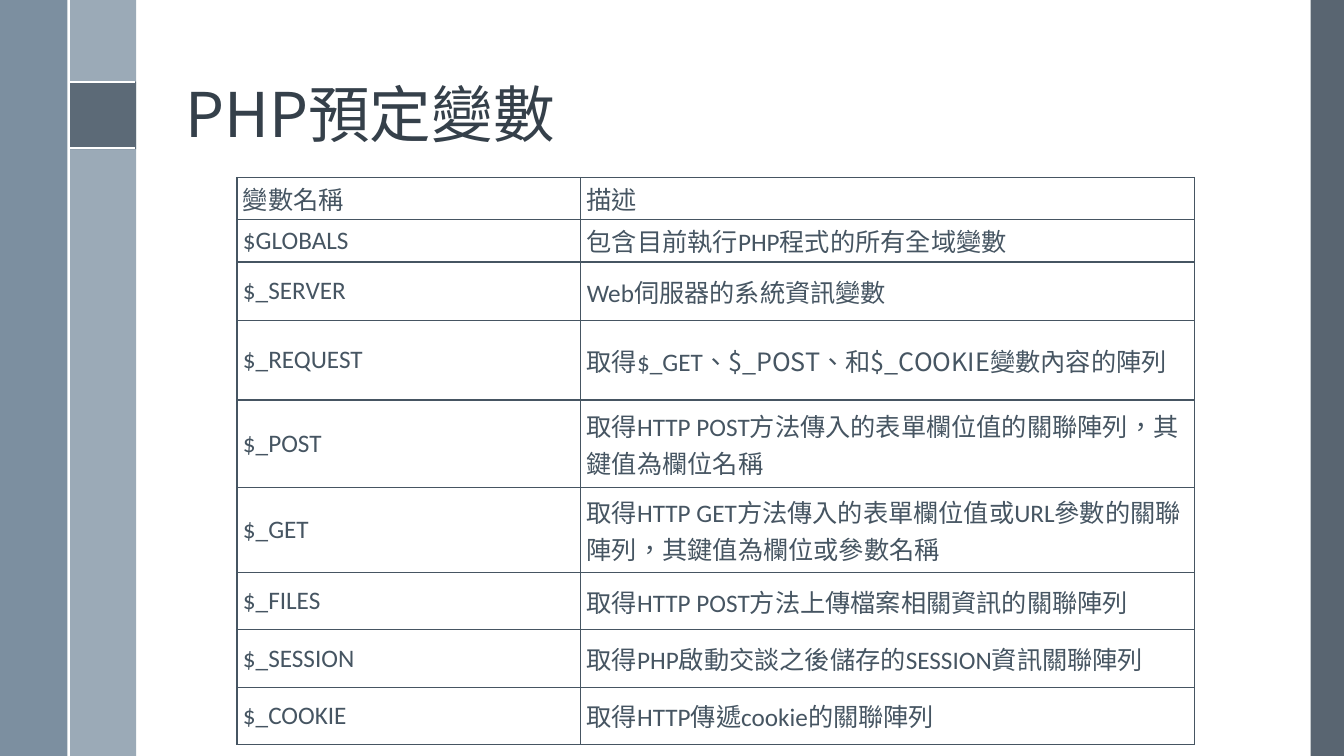
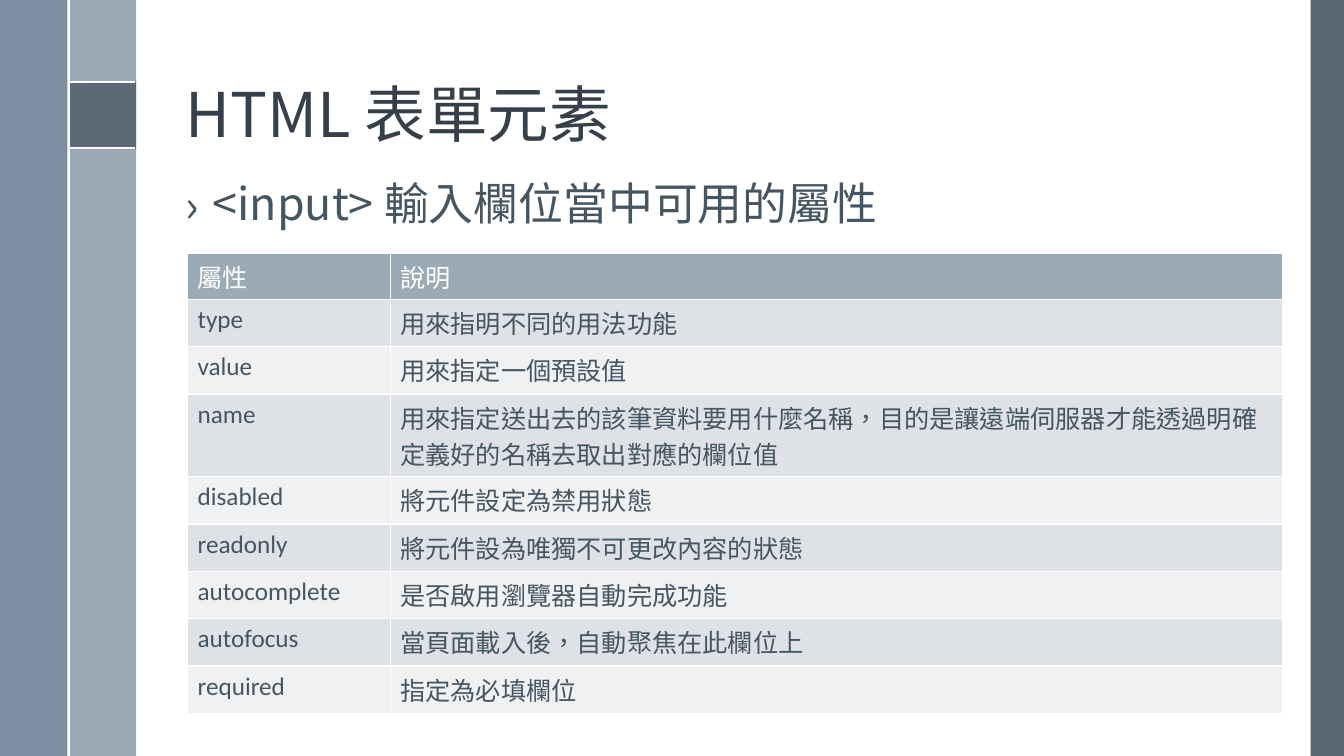
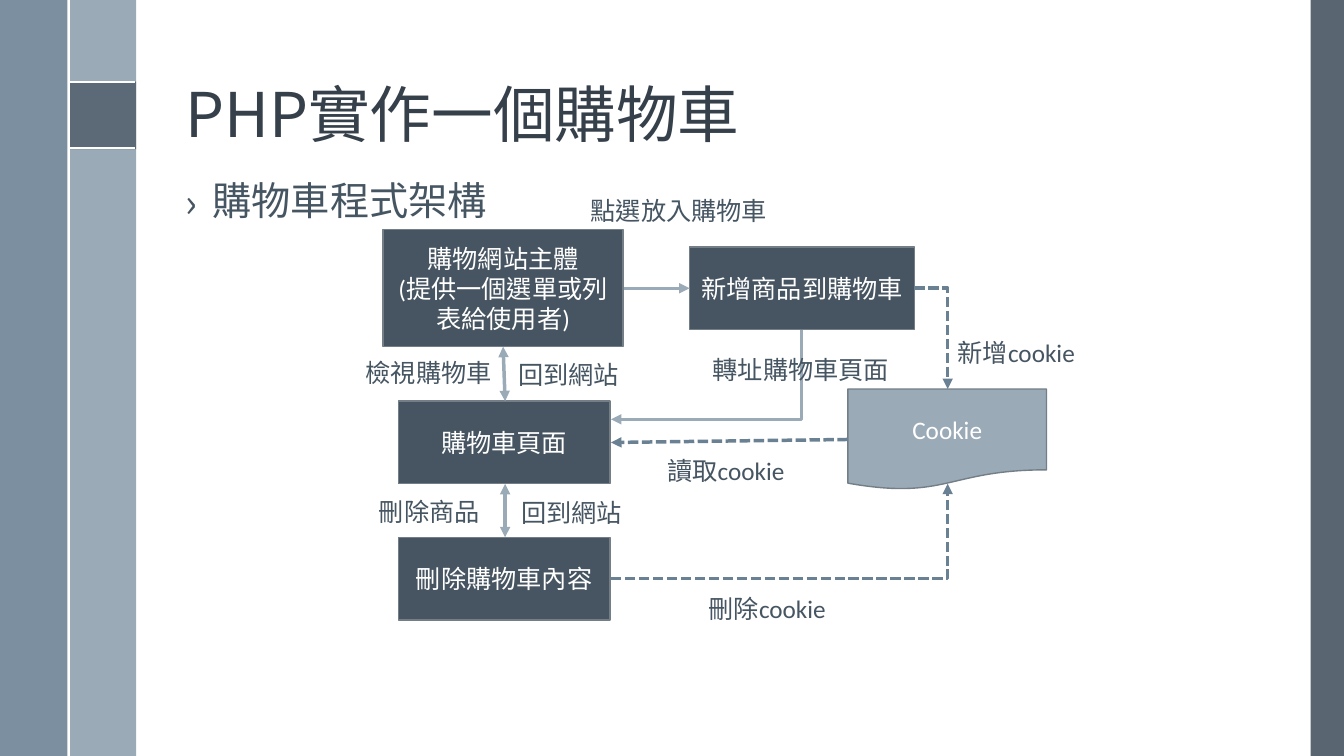
import pptx
import pptx.util
from pptx.dml.color import RGBColor
from pptx.enum.dml import MSO_LINE
from pptx.enum.shapes import MSO_CONNECTOR, MSO_SHAPE
from pptx.enum.text import MSO_ANCHOR, MSO_AUTO_SIZE, PP_ALIGN
from pptx.oxml.ns import qn
from lxml import etree

Inches, Pt = pptx.util.Inches, pptx.util.Pt

WHITE = RGBColor(0xFF, 0xFF, 0xFF)
SLATE = RGBColor(0x47, 0x55, 0x62)
MIST = RGBColor(0x9B, 0xAA, 0xB7)
STEEL = RGBColor(0x6A, 0x80, 0x93)
OUTLINE = RGBColor(0x73, 0x7E, 0x87)
TITLE = RGBColor(0x35, 0x40, 0x4A)
TEXT = RGBColor(0x46, 0x55, 0x62)
BAND_DARK = RGBColor(0xDE, 0xE2, 0xE6)
BAND_LIGHT = RGBColor(0xEF, 0xF1, 0xF3)
LATIN, CJK = "Calibri", "Noto Sans CJK TC"


def add_run(p, text, size=18, color=TEXT, name=LATIN):
    r = p.add_run()
    r.text = text
    for key, value in {"size": Pt(size), "name": name}.items():
        setattr(r.font, key, value)
    r.font.color.rgb = color
    r.font._element.set("lang", "zh-TW")
    latin = r.font._element.find(qn("a:latin"))
    latin.addnext(latin.makeelement(qn("a:ea"), {"typeface": CJK}))


def add_line(s, x1, y1, x2, y2, color, width, kind=MSO_CONNECTOR.STRAIGHT):
    c = s.shapes.add_connector(kind, Inches(x1), Inches(y1), Inches(x2), Inches(y2))
    c.line.color.rgb = color
    c.line.width = Pt(width)
    etree.SubElement(c._element.spPr, qn("a:effectLst"))
    return c


prs = pptx.Presentation()
prs.slide_width, prs.slide_height = Inches(13.33), Inches(7.5)

# Shared frame: side bands, rules, title and optional bullet line
bands = [
    (13, 0, 0.33, 7.5, SLATE, 90),
    (0.68, 0, 0.67, 7.5, MIST, 100),
    (0, 0, 0.67, 7.5, STEEL, 88),
    (0.68, 0.81, 0.67, 0.67, SLATE, 75),
]
rules = [(0.68, 0.81, 1.34, 0.81), (0.68, 1.47, 1.34, 1.47), (0.68, 0, 0.68, 7.5)]
headings = [
    ("PHP預定變數", None, 0),
    ("HTML 表單元素", "<input> 輸入欄位當中可用的屬性", 32),
    ("PHP實作一個購物車", "購物車程式架構", 28),
]
slides = []
for title, bullet, bullet_size in headings:
    s = prs.slides.add_slide(prs.slide_layouts[6])
    slides.append(s)
    for x, y, w, h, color, alpha in bands:
        sp = s.shapes.add_shape(MSO_SHAPE.RECTANGLE, Inches(x), Inches(y), Inches(w), Inches(h))
        sp.shadow.inherit = False
        sp.fill.solid()
        sp.fill.fore_color.rgb = color
        sp.line.fill.background()
        if alpha < 100:
            clr = sp._element.spPr.find(qn("a:solidFill")).find(qn("a:srgbClr"))
            etree.SubElement(clr, qn("a:alpha"), val=str(alpha * 1000))
    for rule in rules:
        add_line(s, *rule, WHITE, 1.5)

    tf = s.shapes.add_textbox(Inches(1.74), Inches(0.19), Inches(10.7), Inches(1.36)).text_frame
    tf.word_wrap = True
    tf.vertical_anchor = MSO_ANCHOR.BOTTOM
    tf.paragraphs[0].line_spacing = 0.9
    add_run(tf.paragraphs[0], title, 44, TITLE, CJK)

    if bullet:
        tf = s.shapes.add_textbox(Inches(1.74), Inches(1.75), Inches(10.7), Inches(5)).text_frame
        tf.word_wrap = True
        p = tf.paragraphs[0]
        p.line_spacing = 0.9
        pPr = p._p.get_or_add_pPr()
        pPr.set("marL", str(Inches(0.27)))
        pPr.set("indent", str(-Inches(0.27)))
        etree.SubElement(pPr, qn("a:buFont"), typeface=CJK)
        etree.SubElement(pPr, qn("a:buChar"), char="›")
        add_run(p, bullet, bullet_size, TEXT, CJK)

# Tables; "|" starts a run set in the CJK font
variables = [
    ("變數名稱", "描述"),
    ("$GLOBALS", "包含目前執行PHP程式的所有全域變數"),
    ("$_SERVER", "Web伺服器的系統資訊變數"),
    ("$_REQUEST", "取得$_GET|、$_POST、和$_COOKIE變數內容的陣列"),
    ("$_POST", "取得HTTP POST方法傳入的表單欄位值的關聯陣列|，其鍵值為欄位名稱"),
    ("$_GET", "取得HTTP GET方法傳入的表單欄位值或URL參數的關聯陣列|，其鍵值為欄位或參數名稱"),
    ("$_FILES", "取得HTTP POST方法上傳檔案相關資訊的關聯陣列"),
    ("$_SESSION", "取得PHP啟動交談之後儲存的SESSION資訊關聯陣列"),
    ("$_COOKIE", "取得HTTP傳遞cookie的關聯陣列"),
]
attributes = [
    ("屬性", "說明"),
    ("type", "用來指明不同的用法功能"),
    ("value", "用來指定一個預設值"),
    ("name", "用來指定送出去的該筆資料要用什麼名稱，目的是讓遠端伺服器才能透過明確定義好的名稱去取出對應的欄位值"),
    ("disabled", "將元件設定為禁用狀態"),
    ("readonly", "將元件設為唯獨不可更改內容的狀態"),
    ("autocomplete", "是否啟用瀏覽器自動完成功能"),
    ("autofocus", "當頁面載入後，自動聚焦在此欄位上"),
    ("required", "指定為必填欄位"),
]
compact = {
    "margin_left": Inches(0.06), "margin_right": Inches(0.06),
    "margin_top": Inches(0.03), "margin_bottom": Inches(0.03),
    "vertical_anchor": MSO_ANCHOR.MIDDLE,
}
# slide, rows, left, top, column widths, row heights, border, header text, fills, cell format
tables = [
    (slides[0], variables, 2.35, 1.76, (3.41, 6.09),
     (0.42, 0.42, 0.58, 0.79, 0.87, 0.84, 0.57, 0.57, 0.57),
     TEXT, TEXT, (WHITE, WHITE, WHITE), compact),
    (slides[1], attributes, 1.86, 2.51, (2.01, 8.85),
     (0.46, 0.47, 0.47, 0.82, 0.47, 0.47, 0.47, 0.47, 0.47),
     WHITE, WHITE, (MIST, BAND_DARK, BAND_LIGHT), {}),
]
for s, rows, x, y, widths, heights, border, head_color, fills, cell_format in tables:
    tbl = s.shapes.add_table(len(rows), len(widths), Inches(x), Inches(y),
                             Inches(sum(widths)), Inches(sum(heights))).table
    tbl.first_row = tbl.horz_banding = False
    for column, width in zip(tbl.columns, widths):
        column.width = Inches(width)
    for i, texts in enumerate(rows):
        tbl.rows[i].height = Inches(heights[i])
        for j, text in enumerate(texts):
            cell = tbl.cell(i, j)
            for key, value in cell_format.items():
                setattr(cell, key, value)
            tcPr = cell._tc.get_or_add_tcPr()
            for side in ("lnL", "lnR", "lnT", "lnB"):
                ln = etree.SubElement(tcPr, qn("a:" + side), w=str(Pt(1)))
                fill = etree.SubElement(ln, qn("a:solidFill"))
                etree.SubElement(fill, qn("a:srgbClr"), val=str(border))
            cell.fill.solid()
            cell.fill.fore_color.rgb = fills[0] if i == 0 else fills[2 - i % 2]
            for part, name in zip(text.split("|"), (LATIN, CJK)):
                add_run(cell.text_frame.paragraphs[0], part,
                        color=TEXT if i else head_color, name=name)

# Shopping cart flow: boxes
s = slides[2]
RECT = MSO_SHAPE.RECTANGLE
boxes = [
    (RECT, 3.8, 2.28, 2.38, 1.16, SLATE, ["購物網站主體", "(提供一個選單或列表給使用者)"]),
    (RECT, 3.95, 3.98, 2.1, 0.82, SLATE, ["購物車頁面"]),
    (RECT, 3.95, 5.33, 2.1, 0.82, SLATE, ["刪除購物車內容"]),
    (RECT, 6.84, 2.45, 2.23, 0.82, SLATE, ["新增商品到購物車"]),
    (MSO_SHAPE.FLOWCHART_DOCUMENT, 8.41, 3.86, 1.97, 1, MIST, ["Cookie"]),
]
for kind, x, y, w, h, color, lines in boxes:
    sp = s.shapes.add_shape(kind, Inches(x), Inches(y), Inches(w), Inches(h))
    sp.shadow.inherit = False
    sp.fill.solid()
    sp.fill.fore_color.rgb = color
    sp.line.color.rgb = OUTLINE
    sp.line.width = Pt(1)
    tf = sp.text_frame
    tf.word_wrap = True
    tf.vertical_anchor = MSO_ANCHOR.MIDDLE
    for i, line in enumerate(lines):
        p = tf.add_paragraph() if i else tf.paragraphs[0]
        p.alignment = PP_ALIGN.CENTER
        add_run(p, line, color=WHITE)

# Flow arrows; bent ones run across first, dashed ones carry the cookie
STRAIGHT, BENT = MSO_CONNECTOR.STRAIGHT, MSO_CONNECTOR.ELBOW
arrows = [
    (6.19, 2.86, 6.84, 2.86, STRAIGHT, False, ["tailEnd"]),
    (4.99, 3.44, 5.01, 3.98, STRAIGHT, False, ["headEnd", "tailEnd"]),
    (5.01, 4.8, 5.01, 5.33, STRAIGHT, False, ["headEnd", "tailEnd"]),
    (6.06, 4.16, 7.95, 3.27, BENT, False, ["headEnd"]),
    (9.07, 2.86, 9.4, 3.86, BENT, True, ["tailEnd"]),
    (6.06, 5.74, 9.4, 4.8, BENT, True, ["tailEnd"]),
    (8.41, 4.36, 6.06, 4.39, STRAIGHT, True, ["tailEnd"]),
]
for x1, y1, x2, y2, kind, dashed, ends in arrows:
    c = add_line(s, x1, y1, x2, y2, STEEL if dashed else MIST, 2.5, kind)
    if kind == BENT:
        c._element.spPr.find(qn("a:prstGeom")).set("prst", "bentConnector2")
    if dashed:
        c.line.dash_style = MSO_LINE.SQUARE_DOT
    for end in ends:
        etree.SubElement(c.line._get_or_add_ln(), qn("a:" + end), type="triangle")

# Flow labels
labels = [
    (5.76, 1.89, 1.97, "點選放入購物車"),
    (3.53, 3.5, 1.46, "檢視購物車"),
    (5.04, 3.52, 1.21, "回到網站"),
    (3.66, 4.87, 1.21, "刪除商品"),
    (5.07, 4.88, 1.21, "回到網站"),
    (6.97, 3.47, 1.97, "轉址購物車頁面"),
    (9.4, 3.3, 1.44, "新增cookie"),
    (6.52, 4.47, 1.44, "讀取cookie"),
    (6.93, 5.84, 1.44, "刪除cookie"),
]
for x, y, w, text in labels:
    tf = s.shapes.add_textbox(Inches(x), Inches(y), Inches(w), Inches(0.4)).text_frame
    tf.word_wrap = False
    tf.auto_size = MSO_AUTO_SIZE.SHAPE_TO_FIT_TEXT
    add_run(tf.paragraphs[0], text)

prs.save("out.pptx")
